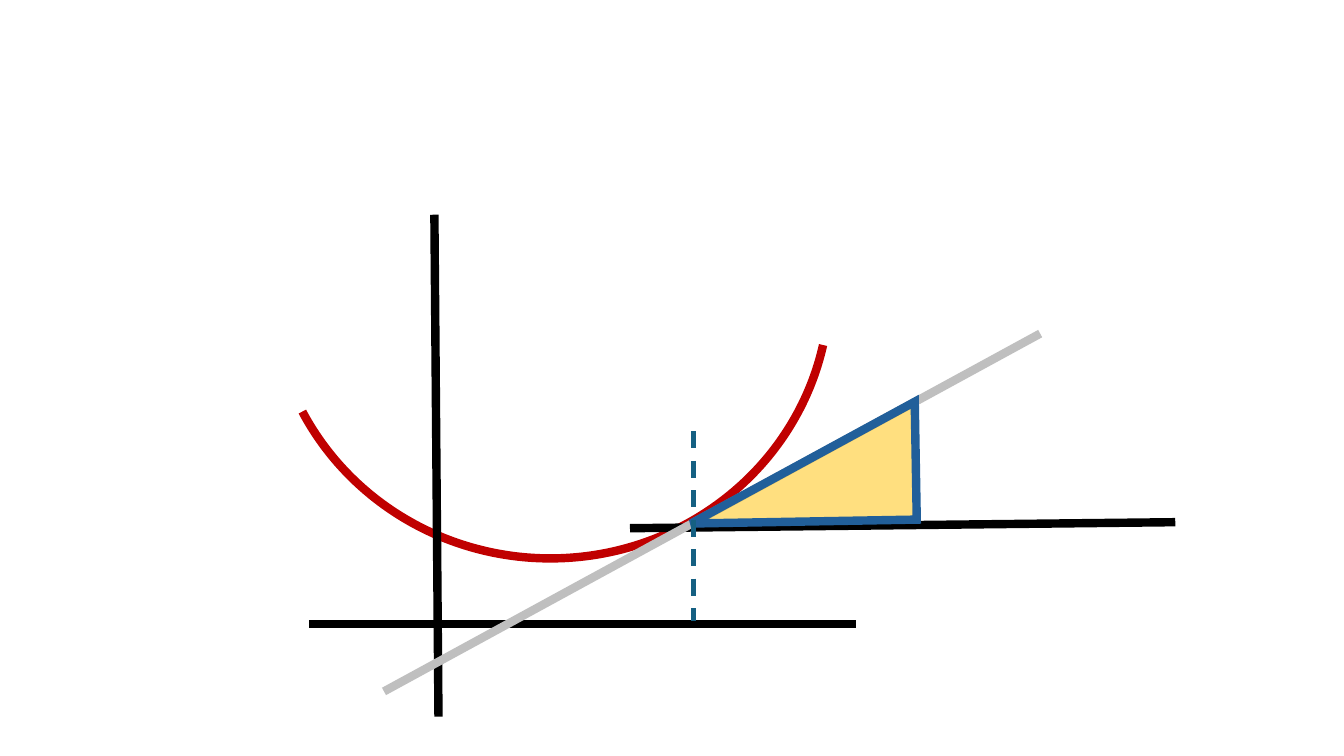
from lxml import etree
from pptx import Presentation
from pptx import util as u
from pptx.dml import color
from pptx.enum import dml, shapes
from pptx.oxml import ns

COLORS = {
    "curve": "C00000", "axis": "000000", "tangent": "BFBFBF",
    "slope_fill": "FFC000", "slope_line": "215F9A", "guide": "156082",
}


def set_line(s, name, width=6):
    s.line.color.rgb = color.RGBColor.from_string(COLORS[name])
    s.line.width = u.Pt(width)


def add_preset(kind, *box):
    s = sp_tree.add_shape(kind, *[u.Pt(v) for v in box])
    s.shadow.inherit = False
    return s


prs = Presentation()
prs.slide_width, prs.slide_height = u.Pt(960), u.Pt(540)
sp_tree = prs.slides.add_slide(prs.slide_layouts[6]).shapes

# Curve: an open arc, its angles in degrees
curve = add_preset(shapes.MSO_SHAPE.ARC, 193.7, 10.8, 398.9, 388.1)
for i, degrees in enumerate((12.06, 153.28)):
    curve.adjustments[i] = degrees * 0.6
curve.fill.background()
set_line(curve, "curve")

# Axes, horizontal through the tangent point, tangent, dashed guide
lines = [
    ("axis", 6, 310.3, 153.4, 313.2, 511.9),
    ("axis", 6, 221, 445.7, 611.3, 445.7),
    ("axis", 6, 450, 377.3, 839.5, 373),
    ("tangent", 6, 274.3, 493.9, 743, 238.3),
    ("guide", 3, 495.4, 308.2, 495.4, 443.5),
]
for name, width, *ends in lines:
    # Slope triangle lies between the tangent and the guide
    if name == "guide":
        slope = add_preset(shapes.MSO_SHAPE.RIGHT_TRIANGLE, 531.4, 249.8, 84.2, 161.3)
        slope.rotation = 269
        slope.fill.solid()
        slope.fill.fore_color.rgb = color.RGBColor.from_string(COLORS["slope_fill"])
        rgb = slope.fill._xPr.find(ns.qn("a:solidFill"))[0]
        etree.SubElement(rgb, ns.qn("a:alpha"), val="50000")
        set_line(slope, "slope_line")
        etree.SubElement(slope.line._get_or_add_ln(), ns.qn("a:miter"), lim="800000")
    s = sp_tree.add_connector(shapes.MSO_CONNECTOR.STRAIGHT, *[u.Pt(v) for v in ends])
    set_line(s, name, width)
    if name == "guide":
        s.line.dash_style = dml.MSO_LINE.DASH
    etree.SubElement(s._element.spPr, ns.qn("a:effectLst"))

prs.save("out.pptx")
